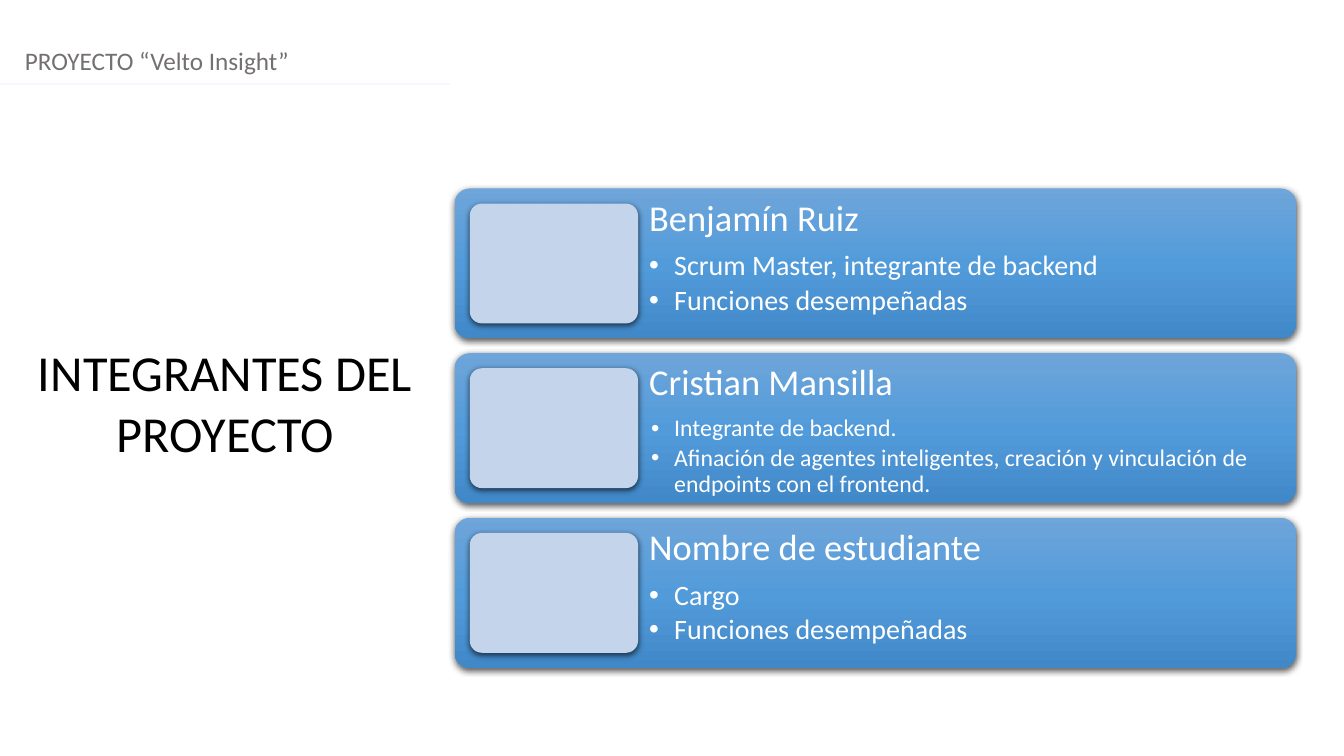
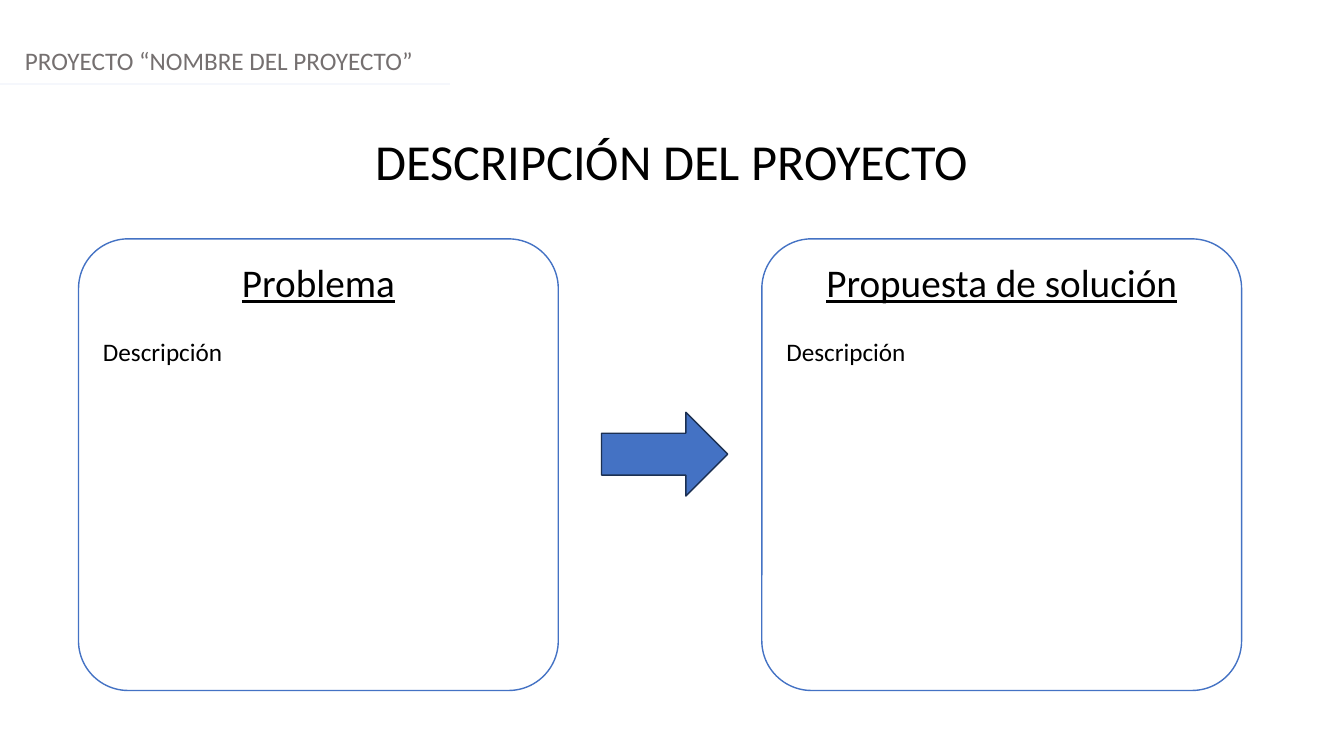
from copy import deepcopy

from lxml.etree import SubElement
from pptx import Presentation
from pptx.dml.color import RGBColor
from pptx.enum.shapes import MSO_CONNECTOR, MSO_SHAPE
from pptx.enum.text import MSO_ANCHOR, MSO_AUTO_SIZE, PP_ALIGN as ALIGN
from pptx.oxml.ns import qn
from pptx.util import Cm, Pt

COLORS = {
    "black": "000000",
    "white": "FFFFFF",
    "header": "757070",
    "rule": "F5F7FC",
    "blue": "4472C4",
    "arrow_line": "1C3052",
    "photo": "C3D4EB",
    "card_top": "6EA5DA",
    "card_middle": "529BDA",
    "card_bottom": "4188C8",
}
FONT = "Calibri"
SLIDE_WIDTH, SLIDE_HEIGHT = 33.87, 19.05
TITLE_ONLY, COMPARISON = 5, 4

CARD_LEFT, CARD_TOP, CARD_WIDTH, CARD_HEIGHT = 11.46, 4.75, 21.2, 3.78
CARD_STEP = 4.15
PHOTO_MARGIN, PHOTO_WIDTH = 0.38, 4.24
PANEL_TOP, PANEL_WIDTH, PANEL_HEIGHT = 6.02, 12.09, 11.38

# Name, list items, list size in points, hanging indent in cm
MEMBERS = [
    ("Benjamín Ruiz",
     ["Scrum Master, integrante de backend", "Funciones desempeñadas"], 20, 0.63),
    ("Cristian Mansilla",
     ["Integrante de backend.",
      "Afinación de agentes inteligentes, creación y vinculación de "
      "endpoints con el frontend."], 17, 0.58),
    ("Nombre de estudiante", ["Cargo", "Funciones desempeñadas"], 20, 0.63),
]
PANELS = [(1.98, "Problema"), (19.2, "Propuesta de solución")]


def rgb(name):
    return RGBColor.from_string(COLORS[name])


def write(frame, text, size, color="black", align=ALIGN.LEFT, underline=False,
          before=0, spacing=1.0, level=0):
    """Fill the frame's empty first paragraph, or add one after the others."""
    paragraph = frame.paragraphs[0] if not frame.text else frame.add_paragraph()
    paragraph.alignment = align
    paragraph.level = level
    paragraph.line_spacing = spacing
    paragraph.space_before = Pt(before)
    paragraph.space_after = Pt(0)
    run = paragraph.add_run()
    run.text = text
    font = run.font
    font.name, font.size = FONT, Pt(size)
    font.bold, font.underline = False, underline
    font.color.rgb = rgb(color)
    return paragraph


def set_bullet(paragraph, hanging=None):
    """Give a hanging bullet, or none when no hanging indent is given."""
    properties = paragraph._p.get_or_add_pPr()
    properties.set("marL", str(Cm(0.63) if hanging else 0))
    properties.set("indent", str(-Cm(hanging) if hanging else 0))
    if hanging:
        SubElement(properties, qn("a:buFont"), typeface="Arial")
        SubElement(properties, qn("a:buChar"), char="•")
    else:
        SubElement(properties, qn("a:buNone"))


def place(shape, left, top, width, height):
    shape.left, shape.top = Cm(left), Cm(top)
    shape.width, shape.height = Cm(width), Cm(height)


def add_box(slide, kind, left, top, width, height, fill=None, line=None, corner=None):
    shape = slide.shapes.add_shape(kind, Cm(left), Cm(top), Cm(width), Cm(height))
    shape.shadow.inherit = False
    if corner is not None:
        shape.adjustments[0] = corner
    if fill:
        shape.fill.solid()
        shape.fill.fore_color.rgb = rgb(fill)
    if line:
        shape.line.color.rgb = rgb(line)
        shape.line.width = Pt(1)
    else:
        shape.line.fill.background()
    return shape


def add_shadow(shape):
    effects = shape._element.spPr.find(qn("a:effectLst"))
    shadow = SubElement(effects, qn("a:outerShdw"), blurRad=str(Pt(4.5)),
                        dist=str(Pt(1.5)), dir="5400000", rotWithShape="0")
    color = SubElement(shadow, qn("a:srgbClr"), val=COLORS["black"])
    SubElement(color, qn("a:alpha"), val="63000")


def fill_gradient(shape, *names):
    """Fill from top to bottom with three evenly spaced colours."""
    fill = shape.fill
    fill.gradient()
    fill.gradient_angle = 270
    stop_list = next(shape._element.iter(qn("a:gsLst")))
    stop_list.insert(1, deepcopy(stop_list[0]))
    for index, (stop, name) in enumerate(zip(fill.gradient_stops, names)):
        stop.position = index / 2
        stop.color.rgb = rgb(name)


def add_header(slide, text):
    left = 0.38
    box = slide.shapes.add_textbox(Cm(left), Cm(1.02), Cm(SLIDE_WIDTH - left), Cm(1.02))
    box.text_frame.word_wrap = True
    write(box.text_frame, text, 18, "header")
    rule = slide.shapes.add_connector(
        MSO_CONNECTOR.STRAIGHT, 0, Cm(2.11), Cm(11.35), Cm(2.11))
    rule.line.color.rgb = rgb("rule")
    rule.line.width = Pt(1.25)
    SubElement(rule._element.spPr, qn("a:effectLst"))


def add_slide(presentation, layout, header, title, title_area):
    slide = presentation.slides.add_slide(presentation.slide_layouts[layout])
    place(slide.shapes.title, *title_area)
    frame = slide.shapes.title.text_frame
    frame.auto_size = MSO_AUTO_SIZE.NONE
    frame.vertical_anchor = MSO_ANCHOR.TOP
    write(frame, title, 36, align=ALIGN.CENTER)
    add_header(slide, header)
    return slide


def add_member(slide, body, top, name, items, size, hanging):
    rounded = MSO_SHAPE.ROUNDED_RECTANGLE
    card = add_box(slide, rounded, CARD_LEFT, top, CARD_WIDTH, CARD_HEIGHT, corner=0.1)
    fill_gradient(card, "card_top", "card_middle", "card_bottom")
    photo = add_box(slide, rounded, CARD_LEFT + PHOTO_MARGIN, top + PHOTO_MARGIN,
                    PHOTO_WIDTH, CARD_HEIGHT - 2 * PHOTO_MARGIN, "photo", corner=0.1)
    for shape in (card, photo):
        add_shadow(shape)

    text_offset = PHOTO_MARGIN + PHOTO_WIDTH
    place(body, CARD_LEFT + text_offset, top, CARD_WIDTH - text_offset, CARD_HEIGHT)
    slide.shapes._spTree.append(body._element)  # bring the text in front of its card
    frame = body.text_frame
    frame.auto_size = MSO_AUTO_SIZE.NONE
    frame.vertical_anchor = MSO_ANCHOR.TOP
    frame.margin_left = frame.margin_right = Cm(0.28)
    frame.margin_top = frame.margin_bottom = Cm(0.28)
    set_bullet(write(frame, name, 26, "white", spacing=0.9))
    for index, item in enumerate(items):
        paragraph = write(frame, item, size, "white", spacing=0.9,
                          before=3 if index else 9.1, level=1)
        set_bullet(paragraph, hanging)


def add_panel(slide, left, heading):
    panel = add_box(slide, MSO_SHAPE.ROUNDED_RECTANGLE, left, PANEL_TOP,
                    PANEL_WIDTH, PANEL_HEIGHT, "white", "blue", corner=0.11)
    frame = panel.text_frame
    frame.vertical_anchor = MSO_ANCHOR.TOP
    write(frame, heading, 28, align=ALIGN.CENTER, underline=True)
    write(frame, "Descripción", 18, align=ALIGN.JUSTIFY, before=22)


def build_members(presentation):
    slide = add_slide(presentation, COMPARISON, "PROYECTO “Velto Insight”",
                      "INTEGRANTES DEL PROYECTO", (0.66, 8.48, 10.03, 3.33))
    bodies = [shape for shape in slide.placeholders if shape.placeholder_format.idx]
    for index, (body, member) in enumerate(zip(bodies, MEMBERS)):
        add_member(slide, body, CARD_TOP + index * CARD_STEP, *member)
    for unused in bodies[len(MEMBERS):]:
        slide.shapes._spTree.remove(unused._element)


def build_description(presentation):
    slide = add_slide(presentation, TITLE_ONLY, "PROYECTO “NOMBRE DEL PROYECTO”",
                      "DESCRIPCIÓN DEL PROYECTO", (0, 3.15, SLIDE_WIDTH, 1.8))
    for left, heading in PANELS:
        add_panel(slide, left, heading)
    add_box(slide, MSO_SHAPE.RIGHT_ARROW, 15.16, 10.39, 3.18, 2.11, "blue", "arrow_line")


def main():
    presentation = Presentation()
    presentation.slide_width = Cm(SLIDE_WIDTH)
    presentation.slide_height = Cm(SLIDE_HEIGHT)
    build_members(presentation)
    build_description(presentation)
    presentation.save("out.pptx")


if __name__ == "__main__":
    main()
